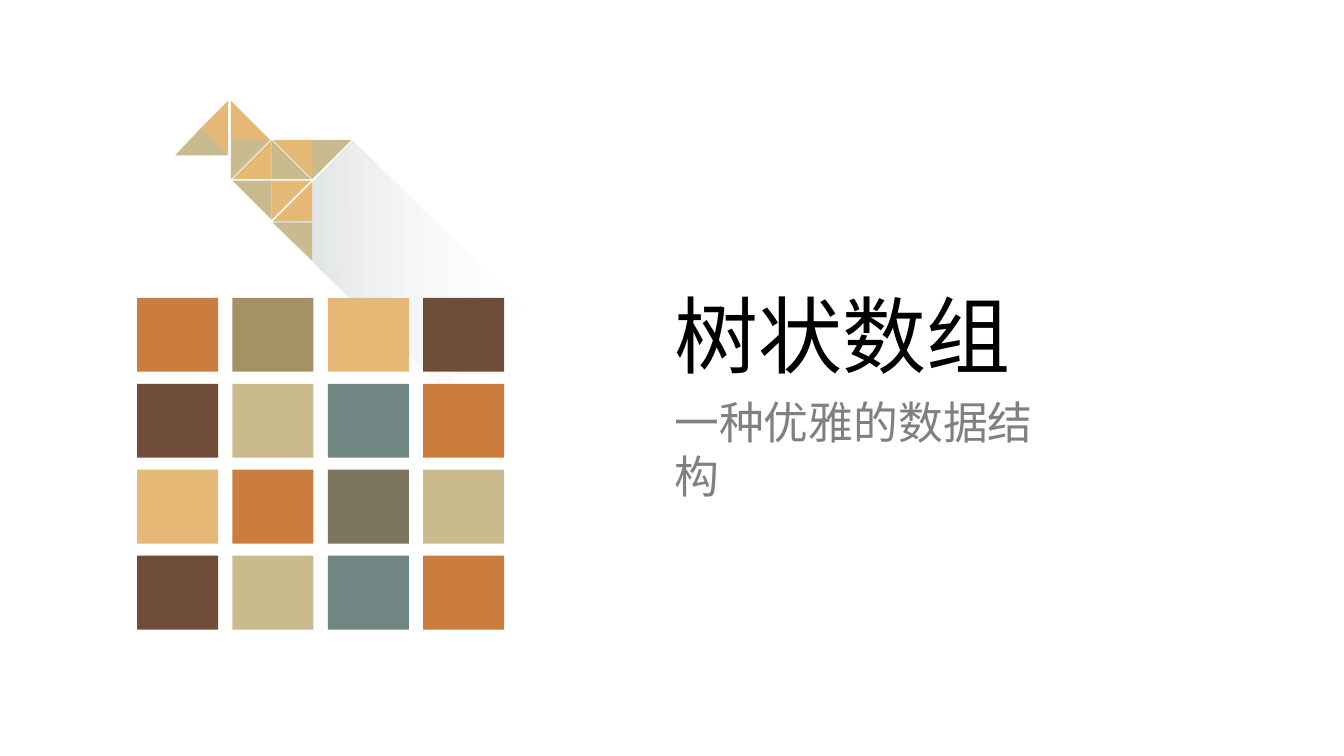
"""Title slide: a giraffe of triangles above a grid of coloured tiles, with title and subtitle."""
from lxml import etree
from pptx import Presentation
from pptx.dml.color import RGBColor
from pptx.enum import shapes, text
from pptx.oxml.ns import qn
from pptx.util import Pt

FONT = "Noto Sans CJK SC"
RUST, OLIVE, GOLD, BROWN = "CB7D40", "A29266", "E6B875", "6F4D39"
SAND, TEAL, MOSS = "CABB8F", "6F8683", "7D755D"

TEXTS = [
    ("树状数组", 474.5, 198.7, 254.2, 79.2, 60, "000000"),
    ("一种优雅的数据结构", 474.5, 278.6, 295, 45.4, 32, "808080"),
]
TILES = [
    (RUST, OLIVE, GOLD, BROWN),
    (BROWN, SAND, TEAL, RUST),
    (GOLD, RUST, MOSS, SAND),
    (BROWN, SAND, TEAL, RUST),
]
TILE_X, TILE_Y, TILE_W, TILE_H = 97.9, 212.7, 57.9, 52.8
STEP_X, STEP_Y = 68.1, 61.4

HEAD = [
    (GOLD, [(163.4, 72), (144, 91.4), (163.4, 110.9)]),
    (SAND, [(163.4, 110.9), (144, 91.4), (124.6, 110.9)]),
]
LEG = 27.8
BODY = [
    (GOLD, 165.1, 99.7, 1, -1),
    (SAND, 165.1, 99.7, 1, 1),
    (GOLD, 193.8, 128, -1, -1),
    (SAND, 193.8, 128, 1, -1),
    (GOLD, 193.8, 129.4, 1, 1),
    (SAND, 193.8, 129.4, -1, 1),
    (SAND, 222.8, 100, 1, 1),
    (GOLD, 222.8, 100, -1, 1),
    (SAND, 222.8, 158.7, -1, 1),
    (GOLD, 222.8, 157.5, -1, -1),
]
SHADE = (198.7, 148.3, 170.6, 82.1)
SHADE_STOPS = [("FDFDFD", 6), ("D7DBDC", 100)]


def rgb(value):
    return RGBColor.from_string(value)


def paint(sp, color):
    sp.shadow.inherit = False
    sp.line.fill.background()
    sp.fill.solid()
    sp.fill.fore_color.rgb = rgb(color)


def rectangle(parent, box, color):
    sp = parent.add_shape(shapes.MSO_SHAPE.RECTANGLE, *map(Pt, box))
    paint(sp, color)
    return sp


def triangle(parent, color, points):
    fb = parent.build_freeform(*points[0], scale=Pt(1))
    fb.add_line_segments(points[1:], close=True)
    paint(fb.convert_to_shape(), color)


def shade(parent):
    sp = rectangle(parent, SHADE, SHADE_STOPS[0][0])
    sp.rotation = 44.3
    sp.fill.gradient()
    sp.fill.gradient_angle = 225
    for stop, (color, _) in zip(sp.fill.gradient_stops, SHADE_STOPS):
        stop.color.rgb = rgb(color)
    colors = sp._element.spPr.iter(qn("a:srgbClr"))
    for clr, (_, opacity) in zip(list(colors), SHADE_STOPS):
        etree.SubElement(clr, qn("a:alpha")).set("val", str(opacity * 1000))


def label(s, words, x, y, w, h, size, color):
    tf = s.shapes.add_textbox(*map(Pt, (x, y, w, h))).text_frame
    tf.word_wrap = True
    tf.vertical_anchor = text.MSO_ANCHOR.TOP
    tf.text = words
    r = tf.paragraphs[0].runs[0]
    r.font.size, r.font.name = Pt(size), FONT
    r.font.color.rgb = rgb(color)
    etree.SubElement(r.font._element, qn("a:ea")).set("typeface", FONT)


prs = Presentation()
prs.slide_width, prs.slide_height = Pt(960), Pt(540)
s = prs.slides.add_slide(prs.slide_layouts[6])

giraffe = s.shapes.add_group_shape().shapes
shade(giraffe)
for color, points in HEAD:
    triangle(giraffe, color, points)
for color, x, y, dx, dy in BODY:
    triangle(giraffe, color, [(x, y), (x + dx * LEG, y), (x, y + dy * LEG)])

grid = s.shapes.add_group_shape().shapes
for row, colors in enumerate(TILES):
    for col, color in enumerate(colors):
        box = (TILE_X + col * STEP_X, TILE_Y + row * STEP_Y, TILE_W, TILE_H)
        rectangle(grid, box, color)

for item in TEXTS:
    label(s, *item)

prs.save("out.pptx")
